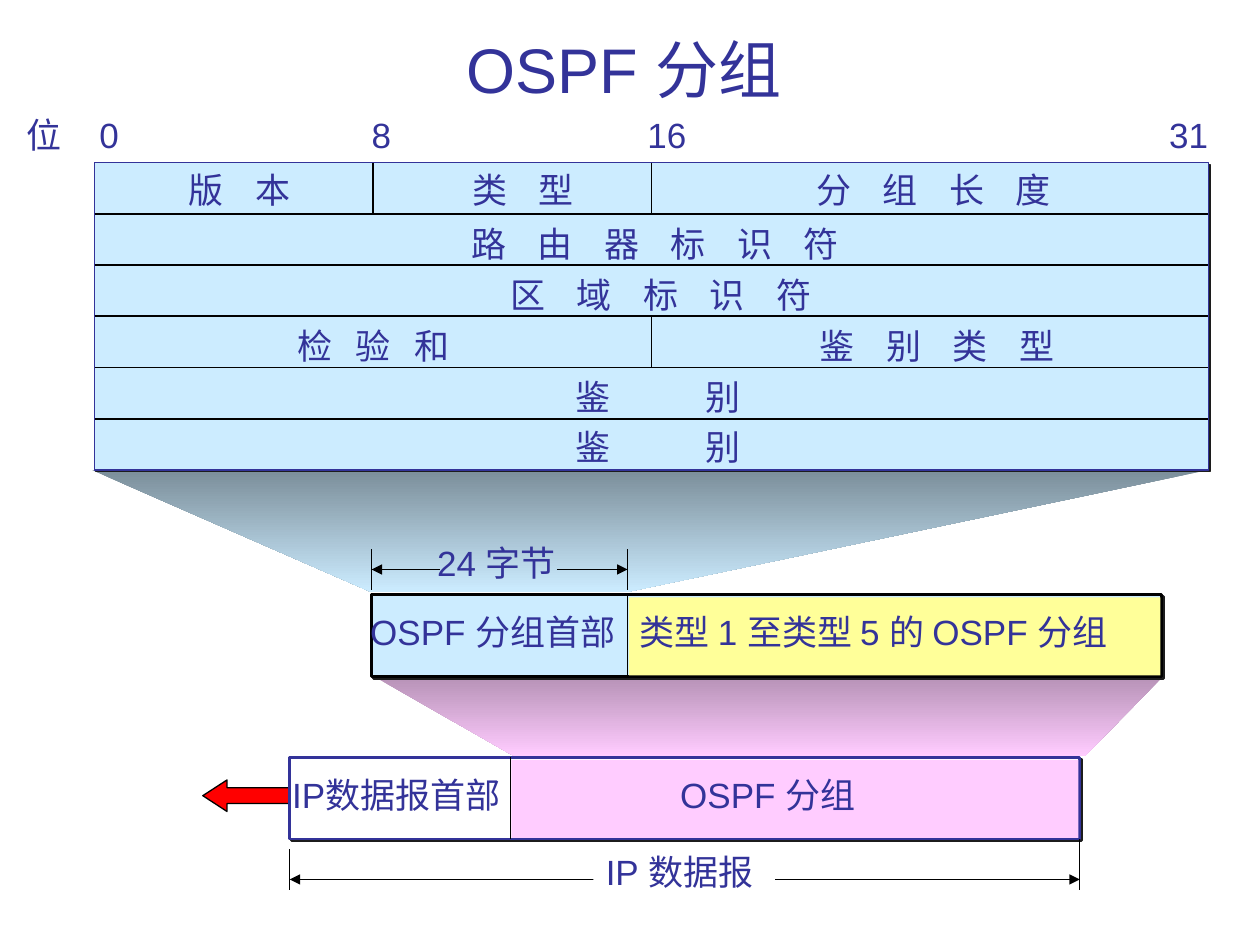
from lxml.etree import SubElement as Sub
from pptx import Presentation
from pptx.dml.color import RGBColor
from pptx.enum.shapes import MSO_CONNECTOR as Conn, MSO_SHAPE as Kind
from pptx.enum.text import MSO_ANCHOR as Anchor, PP_ALIGN as Align
from pptx.oxml.ns import qn
from pptx.util import Inches, Pt

COLORS = {
    "ink": "333399", "black": "000000", "white": "FFFFFF", "red": "FF0000",
    "sky": "CCECFF", "slate": "7B8E9A", "pink": "FFCCFF", "mauve": "B893B8",
    "yellow": "FFFF99", "shade": "1C1C1C",
}
SPACE = 4.5  # points taken by one space at 20 pt


def rgb(name):
    return RGBColor.from_string(COLORS[name])


def style(frame, words, size=20, align=Align.LEFT, gap=1, wrap=False):
    """Write one line; gap is the distance between words, in spaces."""
    frame.word_wrap = wrap
    para = frame.paragraphs[0]
    para.alignment = align
    run = para.add_run()
    run.text = words
    font = run.font
    font.size, font.name = Pt(size), "Arial"
    font.color.rgb = rgb("ink")
    if gap > 1:
        font._element.set("spc", str(round(SPACE * (gap - 1) * 50)))


def label(slide, words, x, y, w, h=0.43, fill=None, **form):
    box = slide.shapes.add_textbox(*map(Inches, (x, y, w, h)))
    if fill:
        box.fill.solid()
        box.fill.fore_color.rgb = rgb(fill)
    style(box.text_frame, words, **form)


def block(slide, box, fill, line=None, width=0.75, kind=Kind.RECTANGLE,
          drop=False):
    shape = slide.shapes.add_shape(kind, *map(Inches, box))
    shape.shadow.inherit = False
    shape.fill.solid()
    shape.fill.fore_color.rgb = rgb(fill)
    if line:
        shape.line.color.rgb = rgb(line)
        shape.line.width = Pt(width)
    else:
        shape.line.fill.background()
    if drop:
        effects = shape._element.spPr.find(qn("a:effectLst"))
        shadow = Sub(effects, qn("a:outerShdw"), blurRad="0",
                     dist=str(Pt(1.4)), dir="2700000", algn="ctr",
                     rotWithShape="0")
        Sub(shadow, qn("a:srgbClr"), val=COLORS["shade"])
    return shape


def rule(slide, x1, y1, x2, y2, width=0.75, ends=()):
    """Draw a line; ends names the arrowheads, headEnd or tailEnd."""
    line = slide.shapes.add_connector(
        Conn.STRAIGHT, *map(Inches, (x1, y1, x2, y2)))
    line.line.color.rgb = rgb("black")
    line.line.width = Pt(width)
    props = line._element.spPr
    for end in ends:
        Sub(props.find(qn("a:ln")), qn("a:" + end), type="triangle")
    Sub(props, qn("a:effectLst"))
    return line


def funnel(slide, points, dark, light):
    spots = [(Inches(x), Inches(y)) for x, y in points]
    path = slide.shapes.build_freeform(*spots[0])
    path.add_line_segments(spots[1:], close=True)
    shape = path.convert_to_shape()
    shape.shadow.inherit = False
    shape.line.fill.background()
    shape.fill.gradient()
    shape.fill.gradient_angle = 270
    for stop, name, place in zip(shape.fill.gradient_stops,
                                 (dark, light), (0, 1)):
        stop.color.rgb = rgb(name)
        stop.position = place


def title(slide, x, y, w, h):
    head = slide.shapes.title
    head.left, head.top, head.width, head.height = map(Inches, (x, y, w, h))
    head.text_frame.vertical_anchor = Anchor.BOTTOM
    style(head.text_frame, "OSPF 分组", size=36, align=Align.CENTER, wrap=True)


def header(slide, x, y, w, h):
    """Draw the header fields in six rows of 32 bits, under a bit scale."""
    frame = block(slide, (x, y, w, h), "sky", "ink", drop=True)
    row = h / 6
    for n in range(1, 6):
        line = rule(slide, x, y + n * row, x + w, y + n * row, width=1)
        if n == 3:
            line.begin_connect(frame, 1)
            line.end_connect(frame, 3)
    for n, part in ((0, 1 / 4), (0, 1 / 2), (3, 1 / 2)):
        cut = x + w * part
        rule(slide, cut, y + n * row, cut, y + (n + 1) * row, width=1)

    for words, left, wide in (("位", -0.64, 0.48), ("0", -0.06, 0.35),
                              ("8", 2.1, 0.35), ("16", 4.29, 0.51),
                              ("31", 8.43, 0.51)):
        label(slide, words, x + left, y - 0.44, wide)

    for words, left, top, wide, gap in (
            ("版 本", 0.65, 0, 1, 4),
            ("类 型", 2.9, 0, 1, 4),
            ("分 组 长 度", 5.63, 0, 2.06, 4),
            ("路 由 器 标 识 符", 2.89, 0.43, 3.12, 4),
            ("区 域 标 识 符", 3.2, 0.83, 2.59, 4),
            ("检 验 和", 1.51, 1.24, 1.41, 3),
            ("鉴 别 类 型", 5.66, 1.24, 2.06, 4),
            ("鉴 别", 3.72, 1.64, 1.5, 12),
            ("鉴 别", 3.72, 2.04, 1.5, 12)):
        label(slide, words, x + left, y + top, wide + 0.5, gap=gap, wrap=True)


def bar(slide, x, y, w, h, cut, fills, edge, texts):
    """Draw a bar whose head ends at cut and whose rest has its own fill."""
    block(slide, (x, y, w, h), fills[0], edge, width=1.5, drop=True)
    block(slide, (x + cut + 0.01, y + 0.02, w - cut - 0.02, h - 0.03), fills[1])
    rule(slide, x + cut, y, x + cut, y + h)
    for words, left, wide in texts:
        label(slide, words, x + left, y + 0.08, wide, 0.44)


def ticks(slide, x, y, w, h, lift=0):
    """Mark both ends of a length; lift raises the right mark."""
    rule(slide, x, y, x, y + h)
    rule(slide, x + w, y - lift, x + w, y + h)


def packet(slide, x, y, w, h):
    cut = 2.03
    bar(slide, x, y, w, h, cut, ("sky", "yellow"), "black",
        (("OSPF 分组首部", -0.11, 2.4),
         ("类型 1 至类型 5 的 OSPF 分组", cut, 4.5)))
    ticks(slide, x, y - 0.36, cut, 0.32)
    rule(slide, x + 0.54, y - 0.2, x, y - 0.2, ends=["tailEnd"])
    rule(slide, x + 1.47, y - 0.2, x + cut, y - 0.2, ends=["tailEnd"])
    label(slide, "24 字节", x + 0.42, y - 0.47, 1.21, 0.44)


def datagram(slide, x, y, w, h):
    arrow = block(slide, (x - 0.69, y + 0.18, 0.77, 0.25), "red", "black",
                  kind=Kind.LEFT_ARROW)
    arrow.adjustments[1] = 0.77
    rule(slide, x, y + 0.97, x + w, y + 0.97, ends=["headEnd", "tailEnd"])
    label(slide, "IP 数据报", x + 2.41, y + 0.69, 1.44, 0.44, fill="white")
    bar(slide, x, y, w, h, 1.75, ("white", "pink"), "ink",
        (("IP数据报首部", -0.08, 2.1), ("OSPF 分组", 3, 1.8)))
    ticks(slide, x, y + 0.73, w, 0.32, lift=0.08)


def main():
    deck = Presentation()
    deck.slide_width, deck.slide_height = Inches(10), Inches(7.5)
    slide = deck.slides.add_slide(deck.slide_layouts[5])
    title(slide, 0.69, 0.13, 8.52, 0.76)
    funnel(slide, ((0.73, 3.73), (9.59, 3.73), (4.97, 4.7), (2.95, 4.7)),
           "slate", "sky")
    funnel(slide, ((2.99, 5.38), (9.22, 5.38), (8.61, 6), (4.08, 6)),
           "mauve", "pink")
    datagram(slide, 2.3, 6.01, 6.27, 0.65)
    packet(slide, 2.95, 4.72, 6.27, 0.65)
    header(slide, 0.75, 1.29, 8.84, 2.44)
    deck.save("out.pptx")


if __name__ == "__main__":
    main()
